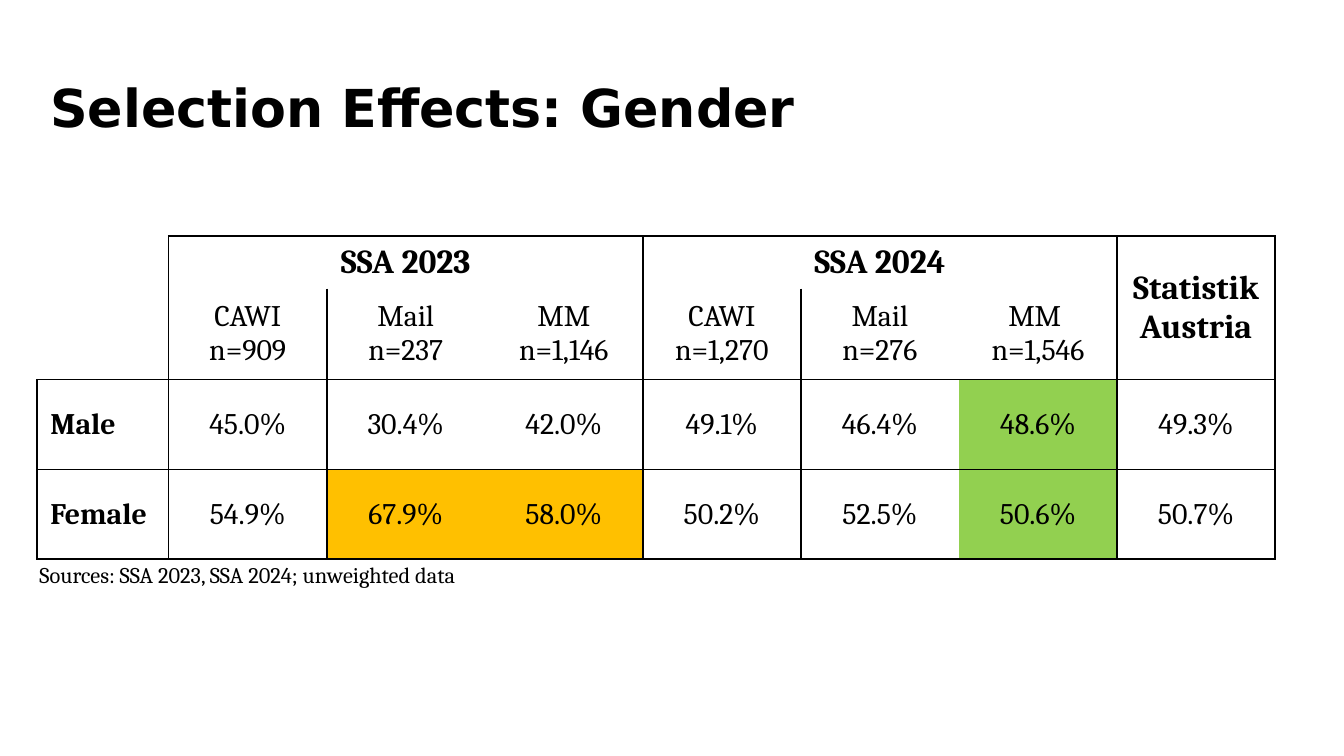
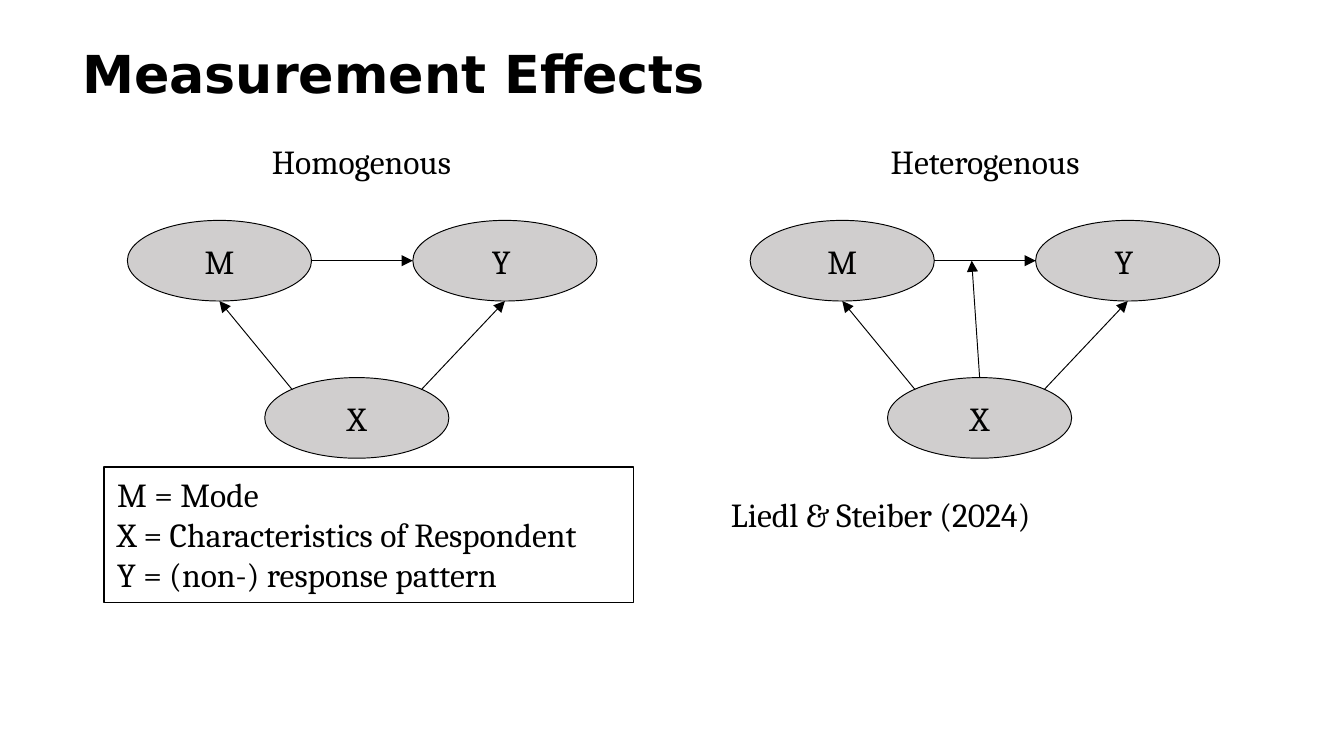
from lxml.etree import SubElement
from pptx import Presentation
from pptx.dml.color import RGBColor
from pptx.enum.shapes import MSO_CONNECTOR, MSO_SHAPE
from pptx.enum.text import MSO_ANCHOR, PP_ALIGN
from pptx.oxml.ns import qn
from pptx.util import Inches, Pt

BLACK = RGBColor(0x00, 0x00, 0x00)
NODE_GREY = RGBColor(0xD0, 0xCE, 0xCE)
GREEN = RGBColor(0x92, 0xD0, 0x50)
AMBER = RGBColor(0xFF, 0xC0, 0x00)
BODY_FONT = "Cambria"
TITLE_FONT = "DejaVu Sans"
PLAIN_TABLE_STYLE = "{2D5ABB26-0587-4C30-8999-92F81FD0307C}"

UNIT = Inches(0.1)
NODE_WIDTH, NODE_HEIGHT = 13.7, 6
DIAGRAM_STEP = 46.34
NODES = {"M": (9.48, 16.4), "Y ": (30.72, 16.4), "X": (19.7, 28.1)}
ARROWS = [
    (("X", 0.15, 0.15), ("M", 0.5, 1)),
    (("X", 0.85, 0.15), ("Y ", 0.5, 1)),
    (("M", 1, 0.5), ("Y ", 0, 0.5)),
]

COLUMN_WIDTHS = [9.8] + [11.76] * 7
ROW_HEIGHTS = [3.9, 6.75, 6.7, 6.65]
TABLE_ROWS = [
    ["", "SSA 2023", "", "", "SSA 2024", "", "", "Statistik\nAustria"],
    ["", "CAWI n=909", "Mail n=237", "MM\nn=1,146",
     "CAWI\nn=1,270", "Mail\nn=276", "MM \nn=1,546", ""],
    ["Male", "45.0%", "30.4%", "42.0%", "49.1%", "46.4%", "48.6%", "49.3%"],
    ["Female", "54.9%", "67.9%", "58.0%", "50.2%", "52.5%", "50.6%", "50.7%"],
]
MERGES = [((0, 1), (0, 3)), ((0, 4), (0, 6)), ((0, 7), (1, 7))]
HIGHLIGHTS = {(2, 6): GREEN, (3, 6): GREEN, (3, 2): AMBER, (3, 3): AMBER}


def grid(*units):
    return [round(unit * UNIT) for unit in units]


def write_text(frame, text, size=18, font=BODY_FONT, bold=False,
               align=PP_ALIGN.LEFT, anchor=MSO_ANCHOR.TOP, spacing=None):
    frame.word_wrap = True
    frame.vertical_anchor = anchor
    for index, line in enumerate(text.split("\n")):
        paragraph = frame.add_paragraph() if index else frame.paragraphs[0]
        paragraph.alignment = align
        paragraph.line_spacing = spacing
        run = paragraph.add_run()
        run.text = line
        run.font.size = Pt(size)
        run.font.name = font
        run.font.bold = bold
        run.font.color.rgb = BLACK


def add_text(shapes, box, text, **text_format):
    write_text(shapes.add_textbox(*grid(*box)).text_frame, text, **text_format)


def add_title(slide, box, text):
    add_text(slide.shapes, box, text, size=28, font=TITLE_FONT, bold=True,
             anchor=MSO_ANCHOR.MIDDLE, spacing=0.9)


def add_outlined(shapes, kind, box, text, line_width, fill=None, **text_format):
    shape = shapes.add_shape(kind, *grid(*box))
    shape.shadow.inherit = False
    if fill is None:
        shape.fill.background()
    else:
        shape.fill.solid()
        shape.fill.fore_color.rgb = fill
    shape.line.color.rgb = BLACK
    shape.line.width = Pt(line_width)
    write_text(shape.text_frame, text, **text_format)


def add_arrow(shapes, start, end):
    connector = shapes.add_connector(MSO_CONNECTOR.STRAIGHT, *grid(*start, *end))
    connector.line.color.rgb = BLACK
    connector.line.width = Pt(0.5)
    line = connector.line._get_or_add_ln()
    SubElement(line, qn("a:tailEnd"), type="triangle")
    SubElement(connector._element.spPr, qn("a:effectLst"))


def node_point(name, across, down, offset):
    left, top = NODES[name]
    return left + offset + across * NODE_WIDTH, top + down * NODE_HEIGHT


def add_diagram(slide, position, heading, heading_box, moderated=False):
    shapes = slide.shapes.add_group_shape().shapes
    offset = position * DIAGRAM_STEP
    for name, (left, top) in NODES.items():
        add_outlined(shapes, MSO_SHAPE.OVAL,
                     (left + offset, top, NODE_WIDTH, NODE_HEIGHT), name, 0.5,
                     fill=NODE_GREY, align=PP_ALIGN.CENTER,
                     anchor=MSO_ANCHOR.MIDDLE)
    for start, end in ARROWS:
        add_arrow(shapes, node_point(*start, offset), node_point(*end, offset))
    if moderated:
        add_arrow(shapes, node_point("X", 0.5, 0, offset), (72.3, 19.4))
    add_text(shapes, heading_box, heading, align=PP_ALIGN.CENTER)


def has_vertical_line(row, boundary):
    if boundary == 0:
        return row >= 2
    if boundary in (2, 5):
        return row >= 1
    return boundary in (1, 4, 7, 8)


def has_horizontal_line(boundary, column):
    return boundary >= 2 or (boundary == 0 and column >= 1)


def add_borders(cell, row, column):
    edges = {
        "a:lnL": has_vertical_line(row, column),
        "a:lnR": has_vertical_line(row, column + 1),
        "a:lnT": has_horizontal_line(row, column),
        "a:lnB": has_horizontal_line(row + 1, column),
    }
    properties = cell._tc.get_or_add_tcPr()
    for tag, visible in edges.items():
        line = SubElement(properties, qn(tag), w=str(Pt(1)))
        if visible:
            fill = SubElement(line, qn("a:solidFill"))
            SubElement(fill, qn("a:srgbClr"), val=str(BLACK))
        else:
            SubElement(line, qn("a:noFill"))


def fill_cell(cell, row, column, text):
    add_borders(cell, row, column)
    if (row, column) in HIGHLIGHTS:
        cell.fill.solid()
        cell.fill.fore_color.rgb = HIGHLIGHTS[row, column]
    else:
        cell.fill.background()
    if text:
        cell.vertical_anchor = MSO_ANCHOR.MIDDLE
        write_text(cell.text_frame, text, size=16 if row else 18,
                   bold=row == 0 or column == 0,
                   align=PP_ALIGN.CENTER if column else PP_ALIGN.LEFT,
                   anchor=None)
    else:
        paragraph = cell.text_frame.paragraphs[0]
        SubElement(paragraph._p, qn("a:endParaRPr"), sz="1200")


def add_gender_table(slide):
    box = grid(2.75, 17.57, sum(COLUMN_WIDTHS), sum(ROW_HEIGHTS))
    table = slide.shapes.add_table(len(ROW_HEIGHTS), len(COLUMN_WIDTHS), *box).table
    table.first_row = table.horz_banding = False
    table._tbl.tblPr.find(qn("a:tableStyleId")).text = PLAIN_TABLE_STYLE
    for column, width in zip(table.columns, grid(*COLUMN_WIDTHS)):
        column.width = width
    for row, height in zip(table.rows, grid(*ROW_HEIGHTS)):
        row.height = height
    for first, last in MERGES:
        table.cell(*first).merge(table.cell(*last))
    for row, texts in enumerate(TABLE_ROWS):
        for column, text in enumerate(texts):
            fill_cell(table.cell(row, column), row, column, text)


def build_gender_slide(slide):
    add_gender_table(slide)
    add_text(slide.shapes, (1.95, 41.3, 90.5, 3),
             "Sources: SSA 2023, SSA 2024; unweighted data", size=12)
    add_title(slide, (2.75, 4.5, 74, 7.5), "Selection Effects: Gender")


def build_measurement_slide(slide):
    add_outlined(slide.shapes, MSO_SHAPE.RECTANGLE, (7.74, 34.74, 39.4, 10.1),
                 "M = Mode\nX = Characteristics of Respondent\n"
                 "Y = (non-) response pattern", 0.75)
    add_diagram(slide, 0, "Homogenous", (7.6, 10, 38.6, 4))
    add_diagram(slide, 1, "Heterogenous", (53.8, 10, 39, 4), moderated=True)
    add_text(slide.shapes, (53.4, 36.24, 46.9, 4), "Liedl & Steiber (2024)")
    add_title(slide, (5.15, 3.05, 74, 5.3), "Measurement Effects")


def main():
    presentation = Presentation()
    presentation.slide_width = Inches(10)
    presentation.slide_height = presentation.slide_width * 9 // 16
    blank = presentation.slide_layouts[6]
    for build in (build_gender_slide, build_measurement_slide):
        build(presentation.slides.add_slide(blank))
    presentation.save("out.pptx")


if __name__ == "__main__":
    main()
